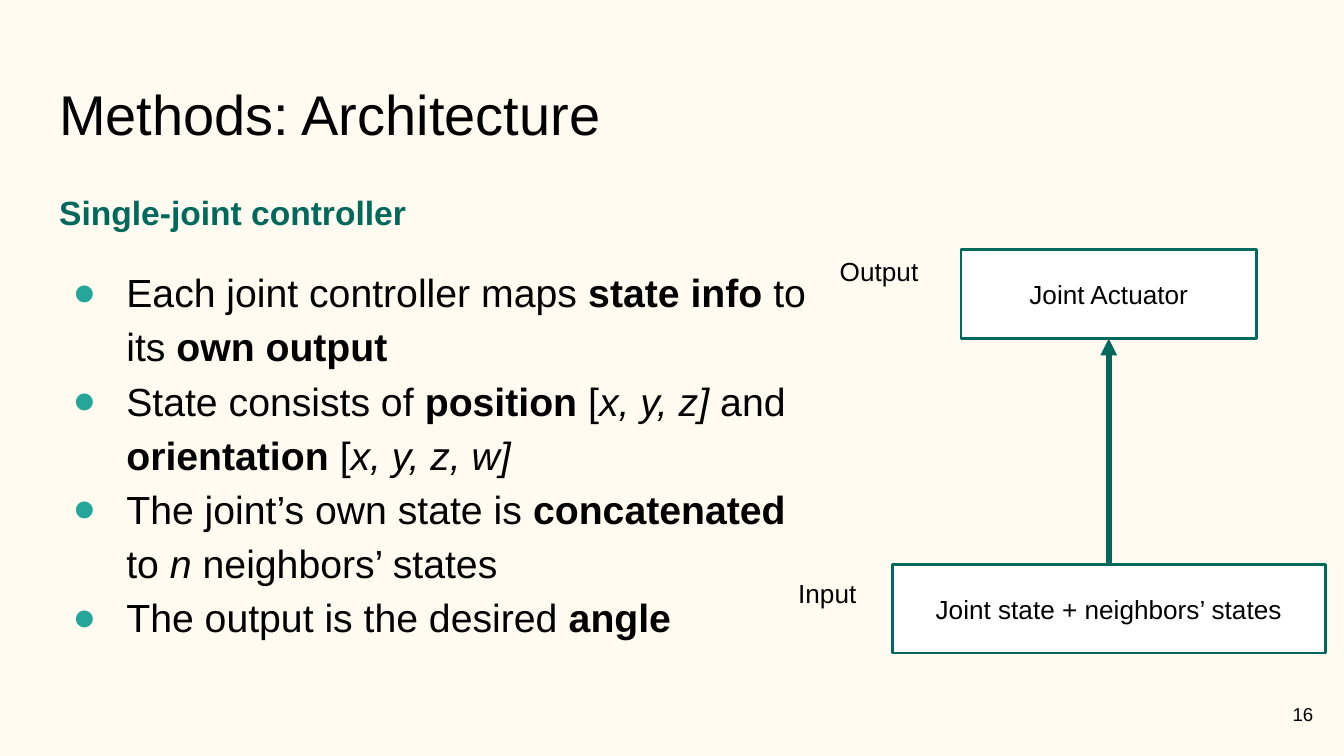
from lxml import etree
from pptx import Presentation
from pptx import util as u
from pptx.dml.color import RGBColor
from pptx.enum import shapes, text
from pptx.oxml.ns import qn

COLORS = {
    "page": "FFFBF0",
    "ink": "000000",
    "green": "00695C",
    "teal": "26A69A",
    "white": "FFFFFF",
}
FONT = "Arial"

# Each bullet is a list of (words, style); style is "", "b" or "i".
BULLETS = [
    [("Each joint controller maps ", ""), ("state info", "b"),
     (" to its ", ""), ("own output", "b")],
    [("State consists of ", ""), ("position ", "b"), ("[", ""),
     ("x, y, z]", "i"), (" and ", ""), ("orientation ", "b"), ("[", ""),
     ("x, y, z, w]", "i")],
    [("The joint’s own state is ", ""), ("concatenated ", "b"), ("to ", ""),
     ("n ", "i"), ("neighbors’ states", "")],
    [("The output is the desired ", ""), ("angle", "b")],
]


def color(name):
    return RGBColor.from_string(COLORS[name])


def inches(*sizes):
    return [u.Inches(size) for size in sizes]


def write(para, words, size=14, ink="ink", bold=False, italic=False):
    """Add one formatted run to a paragraph."""
    run = para.add_run()
    run.text = words
    font = run.font
    font.name, font.size = FONT, u.Pt(size)
    font.bold, font.italic = bold, italic
    font.color.rgb = color(ink)


def setup(shape, anchor=text.MSO_ANCHOR.TOP, align=text.PP_ALIGN.LEFT):
    """Prepare a text frame and return its first paragraph."""
    frame = shape.text_frame
    frame.word_wrap = True
    frame.auto_size = text.MSO_AUTO_SIZE.NONE
    frame.vertical_anchor = anchor
    frame.margin_left = frame.margin_right = u.Inches(0.1)
    frame.margin_top = frame.margin_bottom = u.Inches(0.1)
    para = frame.paragraphs[0]
    para.alignment = align
    return para


def place(shape, left, top, width, height):
    shape.left, shape.top, shape.width, shape.height = inches(
        left, top, width, height)


def space(para, before=0):
    para.line_spacing = 1.15
    para.space_before = u.Pt(before)
    para.space_after = u.Pt(0)


def bullet(para, mark=None):
    """Give a paragraph a teal mark, or none at all."""
    props = para._p.get_or_add_pPr()
    hang = u.Inches(0.4) if mark else 0
    props.set("marL", str(u.Inches(0.5) if mark else 0))
    props.set("indent", str(-hang))
    if not mark:
        etree.SubElement(props, qn("a:buNone"))
        return
    tint = etree.SubElement(props, qn("a:buClr"))
    etree.SubElement(tint, qn("a:srgbClr"), val=COLORS["teal"])
    etree.SubElement(props, qn("a:buFont"), typeface=FONT)
    etree.SubElement(props, qn("a:buChar"), char=mark)


def label(slide, words, spot, size=14, **layout):
    box = slide.shapes.add_textbox(*inches(*spot))
    write(setup(box, **layout), words, size=size)


def block(slide, words, spot):
    """Add a white box with a green outline."""
    box = slide.shapes.add_shape(shapes.MSO_SHAPE.RECTANGLE, *inches(*spot))
    box.shadow.inherit = False
    box.fill.solid()
    box.fill.fore_color.rgb = color("white")
    box.line.color.rgb = color("green")
    box.line.width = u.Pt(1.5)
    para = setup(box, text.MSO_ANCHOR.MIDDLE, text.PP_ALIGN.CENTER)
    write(para, words)


def arrow(slide, *ends):
    line = slide.shapes.add_connector(
        shapes.MSO_CONNECTOR.STRAIGHT, *inches(*ends))
    line.line.color.rgb = color("green")
    line.line.width = u.Pt(3)
    etree.SubElement(line.line._get_or_add_ln(), qn("a:tailEnd"),
                     type="triangle")
    etree.SubElement(line._element.spPr, qn("a:effectLst"))


def body(slide):
    """Fill the body with a heading and its bullets."""
    holder = slide.placeholders[1]
    place(holder, 0.34, 1.28, 5.82, 3.5)
    head = setup(holder)
    bullet(head)
    space(head)
    write(head, "Single-joint controller", size=18, ink="green", bold=True)
    for index, runs in enumerate(BULLETS):
        para = holder.text_frame.add_paragraph()
        bullet(para, "●")
        space(para, before=0 if index else 16)
        para.alignment = text.PP_ALIGN.LEFT
        for words, style in runs:
            write(para, words, size=21, bold=style == "b",
                  italic=style == "i")


def main():
    # A 16:9 page
    deck = Presentation()
    deck.slide_width = u.Inches(10)
    deck.slide_height = deck.slide_width * 9 // 16
    slide = deck.slides.add_slide(deck.slide_layouts[1])
    slide.background.fill.solid()
    slide.background.fill.fore_color.rgb = color("page")

    # Title and list
    title = slide.shapes.title
    place(title, 0.34, 0.49, 9.32, 0.67)
    write(setup(title), "Methods: Architecture", size=30)
    body(slide)

    # Page number
    label(slide, "16", (9.27, 5.1, 0.6, 0.43), size=10,
          anchor=text.MSO_ANCHOR.MIDDLE, align=text.PP_ALIGN.RIGHT)

    # Diagram: input at the bottom, output at the top
    block(slide, "Joint state + neighbors’ states", (6.64, 4.2, 3.22, 0.66))
    block(slide, "Joint Actuator", (7.15, 1.86, 2.2, 0.66))
    label(slide, "Input", (5.84, 4.2, 0.81, 0.44))
    label(slide, "Output", (6.15, 1.8, 1, 0.44))
    arrow(slide, 8.25, 4.2, 8.25, 2.52)

    deck.save("out.pptx")


if __name__ == "__main__":
    main()
